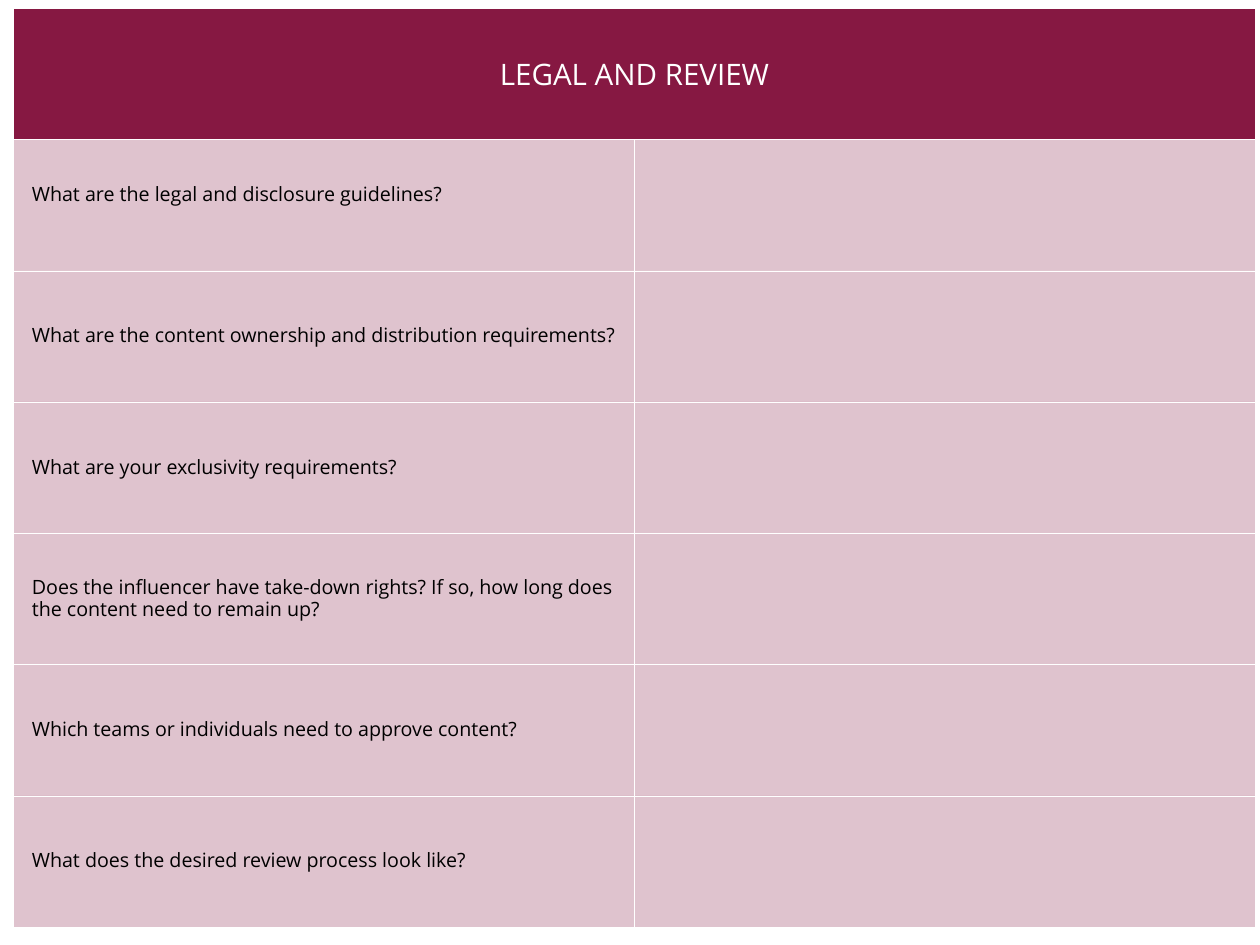
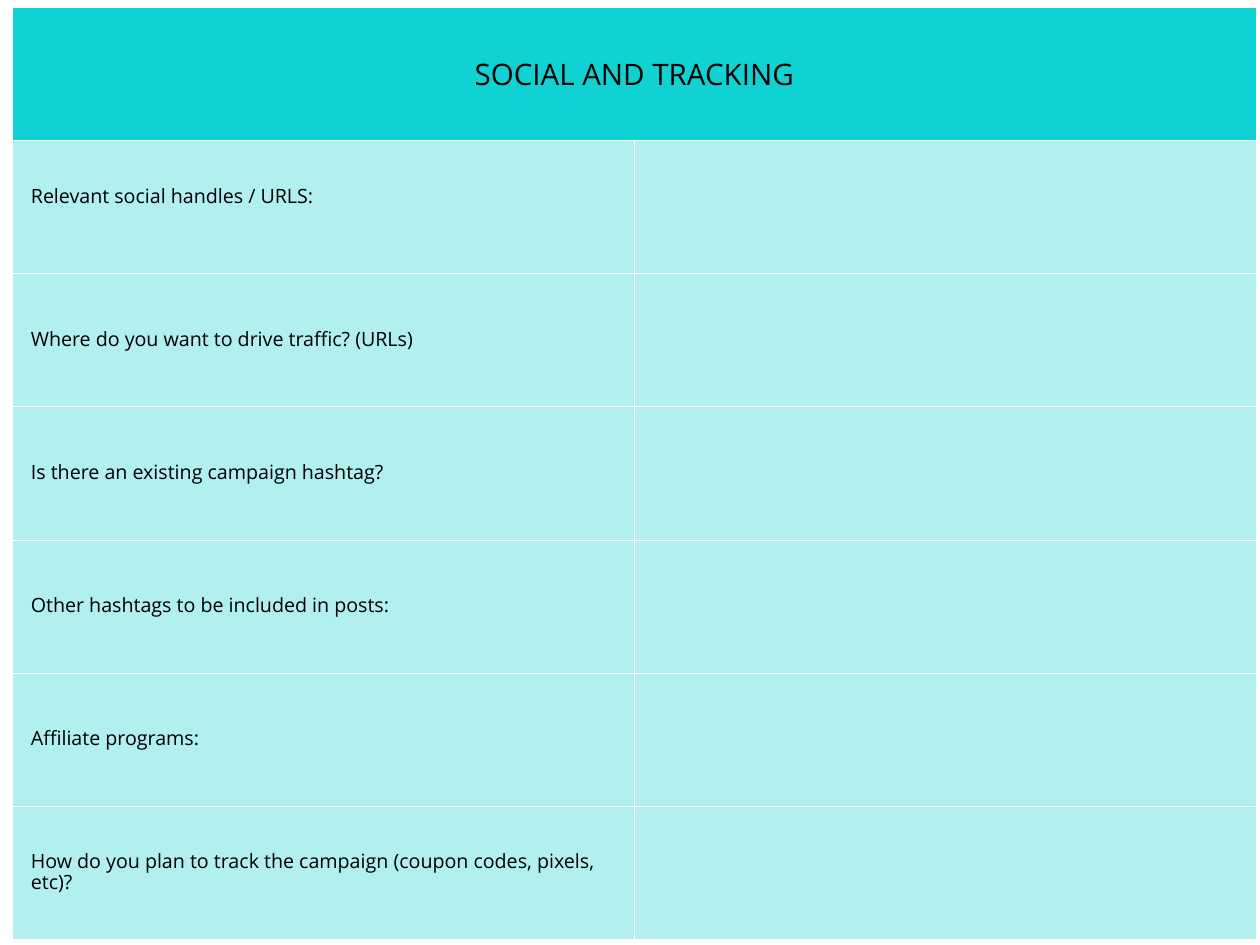
"""Builds two campaign brief forms, each a titled table of questions."""
from lxml.etree import SubElement
from pptx import Presentation
from pptx.dml.color import RGBColor
from pptx.enum.text import MSO_ANCHOR, PP_ALIGN
from pptx.oxml import parse_xml
from pptx.oxml.ns import nsdecls, qn
from pptx.util import Pt

WHITE = RGBColor(0xFF, 0xFF, 0xFF)
BLACK = RGBColor(0x00, 0x00, 0x00)
WINE = RGBColor(0x86, 0x18, 0x42)
TEAL = RGBColor(0x10, 0xD2, 0xD2)

FONT = "Open Sans"
PAD = Pt(15)
CELL = {"margin_left": PAD, "margin_right": PAD, "margin_top": PAD,
        "margin_bottom": PAD, "vertical_anchor": MSO_ANCHOR.MIDDLE}
RAISED = {**CELL, "margin_bottom": PAD + Pt(16)}
HEAD = {"alignment": PP_ALIGN.CENTER, "space_before": Pt(9)}
ASK = {"alignment": PP_ALIGN.LEFT, "space_before": Pt(1), "line_spacing": 0.8}
PLAIN = {"first_row": False, "horz_banding": False}

FORMS = [
    {"title": "LEGAL AND REVIEW", "color": WINE, "ink": WHITE, "alpha": 26,
     "left": 10.9, "top": 6.5, "width": 504.7, "height": 106.75,
     "asks": ["What are the legal and disclosure guidelines?",
              "What are the content ownership and distribution requirements?",
              "What are your exclusivity requirements?",
              "Does the influencer have take-down rights? If so, how long "
              "does the content need to remain up?",
              "Which teams or individuals need to approve content?",
              "What does the desired review process look like?"]},
    {"title": "SOCIAL AND TRACKING", "color": TEAL, "ink": BLACK, "alpha": 32,
     "left": 10.1, "top": 5.8, "width": 505.4, "height": 108.2,
     "asks": ["Relevant social handles / URLS:",
              "Where do you want to drive traffic? (URLs)",
              "Is there an existing campaign hashtag?",
              "Other hashtags to be included in posts:",
              "Affiliate programs:",
              "How do you plan to track the campaign (coupon codes, pixels, "
              "etc)?"]},
]


def apply(item, look):
    for name, value in look.items():
        setattr(item, name, value)


class Deck:
    def __init__(self):
        self.deck = Presentation()
        apply(self.deck, {"slide_width": Pt(1024), "slide_height": Pt(768)})
        self.slide = None

    def page(self):
        self.slide = self.deck.slides.add_slide(self.deck.slide_layouts[6])

    def label(self, cell, text, size, color, look):
        para = cell.text_frame.paragraphs[0]
        apply(para, look)
        run = para.add_run()
        run.text = text
        apply(run.font, {"name": FONT, "size": Pt(size), "bold": False})
        run.font.color.rgb = color

    def paint(self, cell, color, alpha=100):
        cell.fill.solid()
        cell.fill.fore_color.rgb = color
        props = cell._tc.get_or_add_tcPr()
        if alpha < 100:
            tint = props.find(".//" + qn("a:srgbClr"))
            SubElement(tint, qn("a:alpha"), val=str(alpha * 1000))
        for spot, side in enumerate("LRTB"):
            props.insert(spot, parse_xml(
                f'<a:ln{side} {nsdecls("a")} w="{Pt(0.25)}"><a:solidFill>'
                f'<a:srgbClr val="{WHITE}"/></a:solidFill></a:ln{side}>'))

    def form(self, title, color, ink, alpha, left, top, width, height, asks):
        count = len(asks) + 1
        table = self.slide.shapes.add_table(
            count, 2, Pt(left), Pt(top), Pt(2 * width), Pt(count * height)).table
        apply(table, PLAIN)
        for col in table.columns:
            col.width = Pt(width)
        for row in table.rows:
            row.height = Pt(height)
        for cell in table.iter_cells():
            apply(cell, CELL)
        head = table.cell(0, 0)
        head.merge(table.cell(0, 1))
        for cell in table.rows[0].cells:
            self.paint(cell, color)
        self.label(head, title, 24, ink, HEAD)
        for row, ask in enumerate(asks, 1):
            for cell in table.rows[row].cells:
                self.paint(cell, color, alpha)
            self.label(table.cell(row, 0), ask, 16, BLACK, ASK)
        apply(table.cell(1, 0), RAISED)


brief = Deck()
for form in FORMS:
    brief.page()
    brief.form(**form)
brief.deck.save("out.pptx")
